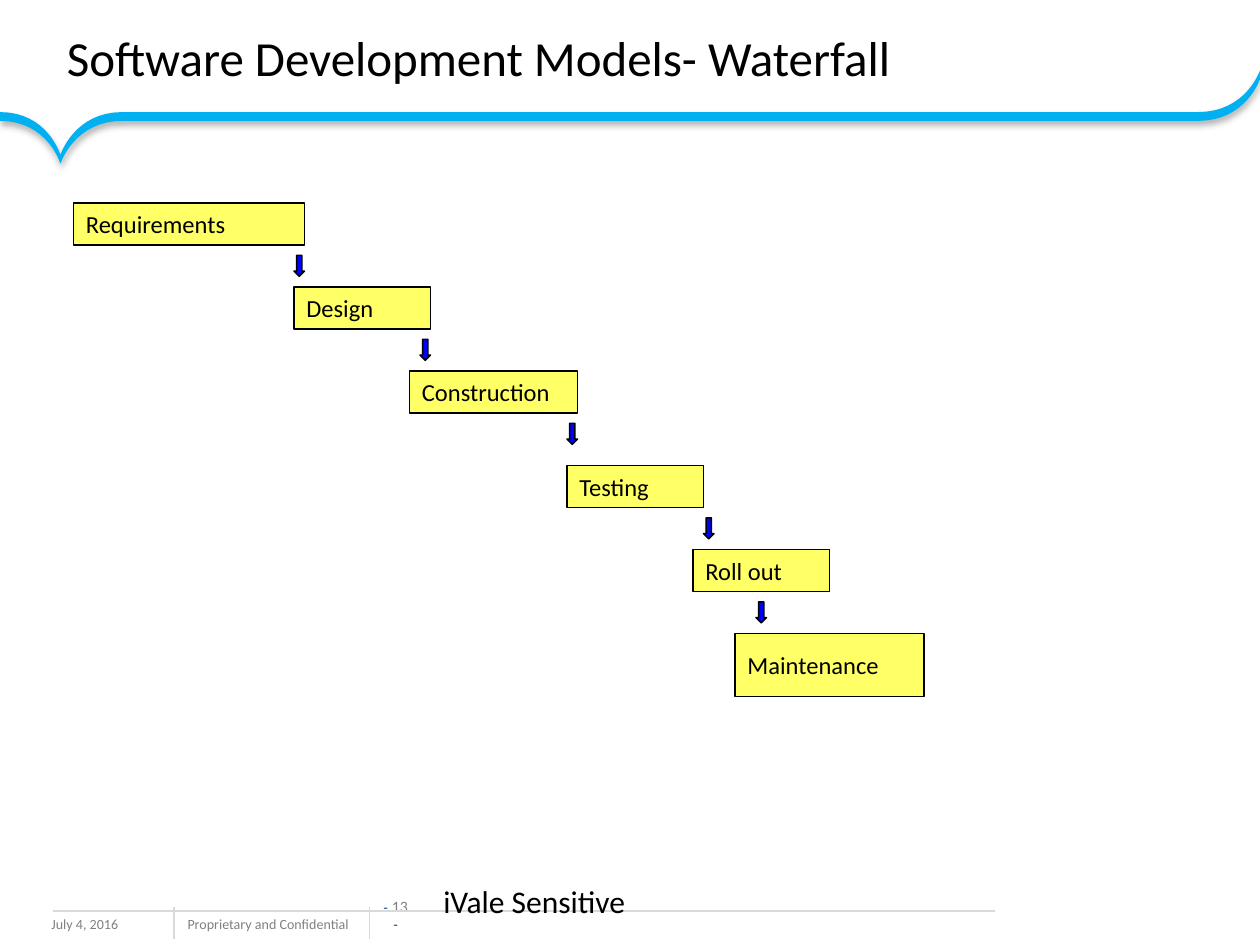
from dataclasses import dataclass

from lxml import etree
from pptx import Presentation, util as u
from pptx.dml.color import RGBColor
from pptx.enum import shapes, text
from pptx.oxml.ns import qn


@dataclass(frozen=True)
class Theme:
    font: str = "Calibri"
    dash_font: str = "Arial"
    ink: str = "000000"
    muted: str = "808080"
    dash: str = "1F497D"
    rule: str = "D9D9D9"
    ribbon: str = "00B0F0"
    stage: str = "FFFF66"
    arrow: str = "0000FF"
    title_size: float = 28
    label_size: float = 18
    stage_size: float = 14
    number_size: float = 9
    footer_size: float = 8
    outline: float = 0.88
    rule_width: float = 0.75


@dataclass(frozen=True)
class Stage:
    """A step of the waterfall in grid cells; arrow is the column of the arrow below it."""
    name: str
    column: int
    row: int
    columns: int
    rows: int = 4
    arrow: int | None = None


THEME = Theme()
CELL = 1 / 12
GRID_TOP = 1.61
ARROW_DROP = 5
RIBBON_DEPTH = 0.07
CURVE_STEPS = 16

STAGES = [
    Stage("Requirements", 7, 0, 22, arrow=28),
    Stage("Design", 28, 8, 13, arrow=40),
    Stage("Construction", 39, 16, 16, arrow=54),
    Stage("Testing", 54, 25, 13, arrow=67),
    Stage("Roll out", 66, 33, 13, arrow=72),
    Stage("Maintenance", 70, 41, 18, rows=6),
]

# Upper edge of the ribbon: three Bézier curves, with a straight run before the last.
RIBBON_CURVES = [
    [(0, 0.89), (0.38, 0.89), (0.48, 1.23), (0.48, 1.23)],
    [(0.48, 1.23), (0.48, 1.23), (0.59, 0.89), (0.97, 0.89)],
    [(9.51, 0.89), (9.89, 0.89), (10, 0.56), (10, 0.56)],
]


def colour(value: str) -> RGBColor:
    return RGBColor.from_string(value)


def style_font(font, size: float, value: str, name: str = THEME.font) -> None:
    font.name, font.size = name, u.Pt(size)
    font.color.rgb = colour(value)


def inches(*lengths: float) -> list[int]:
    return [u.Inches(length) for length in lengths]


def place_title(slide, words: str) -> None:
    title = slide.shapes.title
    title.left, title.top, title.width, title.height = inches(0.43, 0.02, 8.9, 0.87)
    frame = title.text_frame
    frame.text = words
    frame.vertical_anchor = text.MSO_ANCHOR.MIDDLE
    frame.paragraphs[0].alignment = text.PP_ALIGN.LEFT
    style_font(frame.paragraphs[0].font, THEME.title_size, THEME.ink)


def add_label(slide, words: str, at: tuple, size: float, value: str) -> None:
    frame = slide.shapes.add_textbox(*inches(*at)).text_frame
    frame.word_wrap = True
    frame.text = words
    style_font(frame.paragraphs[0].font, size, value)


def add_page_number(slide) -> None:
    frame = slide.shapes.add_textbox(*inches(3.02, 7.25, 0.24, 0.15)).text_frame
    frame.margin_left = frame.margin_right = frame.margin_top = frame.margin_bottom = 0
    frame.word_wrap = True
    frame.vertical_anchor = text.MSO_ANCHOR.BOTTOM
    para = frame.paragraphs[0]
    para.alignment = text.PP_ALIGN.CENTER
    dash = (THEME.footer_size, THEME.dash, THEME.dash_font)
    number = (THEME.number_size, THEME.muted)
    for words, style in (("- ", dash), ("13 ", number), ("-", dash)):
        span = para.add_run()
        span.text = words
        style_font(span.font, *style)


def add_rule(slide, *ends: float) -> None:
    rule = slide.shapes.add_connector(shapes.MSO_CONNECTOR.STRAIGHT, *inches(*ends))
    rule.line.color.rgb = colour(THEME.rule)
    rule.line.width = u.Pt(THEME.rule_width)
    etree.SubElement(rule._element.spPr, qn("a:effectLst"))


def curve_points(curve: list) -> list:
    points = []
    for step in range(CURVE_STEPS + 1):
        t = step / CURVE_STEPS
        weights = ((1 - t) ** 3, 3 * t * (1 - t) ** 2, 3 * t * t * (1 - t), t ** 3)
        points.append(tuple(sum(w * p[axis] for w, p in zip(weights, curve))
                            for axis in (0, 1)))
    return points


def add_ribbon(slide) -> None:
    upper = [point for curve in RIBBON_CURVES for point in curve_points(curve)]
    lower = [(x, y + RIBBON_DEPTH) for x, y in reversed(upper)]
    start, *outline = [inches(*point) for point in upper + lower]
    builder = slide.shapes.build_freeform(*start)
    builder.add_line_segments(outline, close=True)
    ribbon = builder.convert_to_shape()
    ribbon.fill.solid()
    ribbon.fill.fore_color.rgb = colour(THEME.ribbon)
    ribbon.line.fill.background()
    add_soft_shadow(ribbon)


def add_soft_shadow(shape) -> None:
    effects = etree.SubElement(shape._element.spPr, qn("a:effectLst"))
    shadow = etree.SubElement(effects, qn("a:outerShdw"), blurRad=str(u.Pt(4)),
                              dist=str(u.Pt(2)), dir="5400000", rotWithShape="0")
    black = etree.SubElement(shadow, qn("a:srgbClr"), val=THEME.ink)
    etree.SubElement(black, qn("a:alpha"), val="31000")


def add_grid_shape(slide, kind, column: int, row: int, columns: int, rows: int, fill: str):
    shape = slide.shapes.add_shape(kind, *inches(
        column * CELL, GRID_TOP + row * CELL, columns * CELL, rows * CELL))
    shape.shadow.inherit = False
    shape.fill.solid()
    shape.fill.fore_color.rgb = colour(fill)
    shape.line.color.rgb = colour(THEME.ink)
    shape.line.width = u.Pt(THEME.outline)
    return shape


def add_stage(slide, stage: Stage) -> None:
    box = add_grid_shape(slide, shapes.MSO_SHAPE.RECTANGLE, stage.column, stage.row,
                         stage.columns, stage.rows, THEME.stage)
    frame = box.text_frame
    frame.text = stage.name
    frame.vertical_anchor = text.MSO_ANCHOR.MIDDLE
    frame.paragraphs[0].alignment = text.PP_ALIGN.LEFT
    style_font(frame.paragraphs[0].font, THEME.stage_size, THEME.ink)
    if stage.arrow is not None:
        add_grid_shape(slide, shapes.MSO_SHAPE.DOWN_ARROW, stage.arrow,
                       stage.row + ARROW_DROP, 1, 2, THEME.arrow)


def main() -> None:
    deck = Presentation()
    deck.slide_width, deck.slide_height = inches(10, 7.5)
    page = deck.slides.add_slide(deck.slide_layouts[5])
    place_title(page, "Software Development Models- Waterfall")

    add_label(page, "July 4, 2016", (0.31, 7.22, 1.33, 0.25),
              THEME.footer_size, THEME.muted)
    add_label(page, "Proprietary and Confidential", (1.39, 7.22, 1.57, 0.24),
              THEME.footer_size, THEME.muted)
    add_page_number(page)
    for x in (1.38, 2.93):
        add_rule(page, x, 7.2, x, 7.45)
    add_rule(page, 7.9, 7.23, 0.42, 7.23)
    add_ribbon(page)

    for stage in STAGES:
        add_stage(page, stage)
    add_label(page, "iVale Sensitive", (3.42, 6.95, 3.17, 0.4),
              THEME.label_size, THEME.ink)
    deck.save("out.pptx")


if __name__ == "__main__":
    main()
